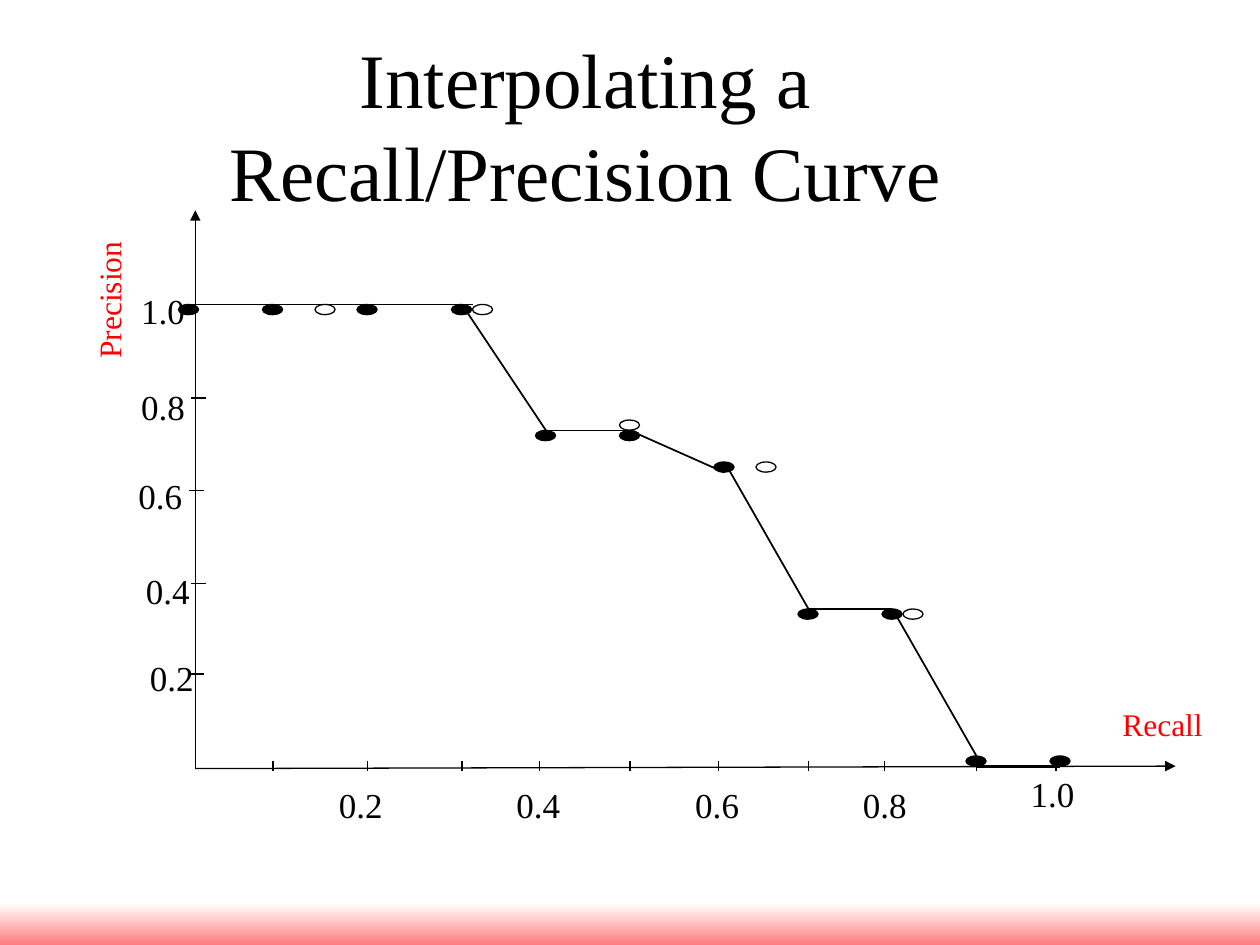
from lxml.etree import SubElement
from pptx import Presentation
from pptx.dml.color import RGBColor
from pptx.enum.shapes import MSO_CONNECTOR as CONN, MSO_SHAPE as SHAPE
from pptx.enum.text import MSO_ANCHOR as ANCHOR, MSO_AUTO_SIZE as AUTO, PP_ALIGN as ALIGN
from pptx.oxml.ns import qn
from pptx.util import Pt

COLORS = {"ink": "000000", "axis": "FF0000", "paper": "FFFFFF", "band": "FF7C80"}
FONT = "Times New Roman"
TITLE = "Interpolating a Recall/Precision Curve"

# Places are (left, top) in points; line ends are (x, y).
NUMBERS = [
    ("1.0", 73.5, 162), ("0.8", 73.5, 216.7), ("0.6", 72, 267.8),
    ("0.4", 76.3, 321.8), ("0.2", 78.5, 371.5),
    ("0.2", 186.5, 444.2), ("0.4", 288, 444.2), ("0.6", 390.2, 444.2),
    ("0.8", 486, 444.2), ("1.0", 581.8, 437.8),
]
AXES = [((111.6, 439.2), (111.6, 120.2)), ((111.6, 439.2), (671.8, 437.8))]
RECALL_TICKS = [156, 210, 264, 308.2, 360, 410.4, 462, 505.4, 558, 603.4]
PRECISION_TICKS = [(108.7, 174.2), (109.4, 227.5), (108, 280.1), (109.4, 333.4), (108, 385.2)]
TICK_TOP, TICK_H, TICK_W = 434.9, 5.8, 8.6
INTERPOLATED = [
    (102, 174), (150, 174), (204, 174), (258, 174), (306, 246), (354, 246),
    (408, 264), (456, 348), (504, 348), (552, 432), (600, 432),
]
MEASURED = [(180, 174), (270, 174), (354, 240), (432, 264), (516, 348)]
DOT_W, DOT_H = 11.5, 5.8
CURVE = [
    ((108, 174), (270, 174)), ((264, 174), (312, 246)),
    ((312, 246), (360, 246)), ((360, 246), (414, 270)),
    ((414, 264), (462, 348)), ((462, 348), (510, 348)),
    ((510, 348), (558, 432)), ((558, 438), (606, 438)),
]


def rgb(name):
    return RGBColor.from_string(COLORS[name])


def set_font(font, size, color="ink"):
    for key, value in {"name": FONT, "size": Pt(size), "bold": False}.items():
        setattr(font, key, value)
    font.color.rgb = rgb(color)


def add_label(s, text, x, y, w, h, size, color="ink"):
    sp = s.shapes.add_textbox(Pt(x), Pt(y), Pt(w), Pt(h))
    tf = sp.text_frame
    tf.word_wrap = False
    tf.auto_size = AUTO.SHAPE_TO_FIT_TEXT
    r = tf.paragraphs[0].add_run()
    r.text = text
    set_font(r.font, size, color)
    return sp


def add_line(s, start, end, width=0.75, arrow=False):
    line = s.shapes.add_connector(CONN.STRAIGHT, *map(Pt, start + end))
    line.line.color.rgb = rgb("ink")
    line.line.width = Pt(width)
    if arrow:
        SubElement(line.line._get_or_add_ln(), qn("a:tailEnd"), type="triangle")
    SubElement(line._element.spPr, qn("a:effectLst"))


def add_dot(s, x, y, filled):
    dot = s.shapes.add_shape(SHAPE.OVAL, Pt(x), Pt(y), Pt(DOT_W), Pt(DOT_H))
    dot.shadow.inherit = False
    if filled:
        dot.fill.solid()
        dot.fill.fore_color.rgb = rgb("ink")
    else:
        dot.fill.background()
    dot.line.color.rgb = rgb("ink")
    dot.line.width = Pt(0.75)


def add_band(s):
    band = s.shapes.add_shape(SHAPE.RECTANGLE, 0, Pt(516), Pt(720), Pt(24))
    band.shadow.inherit = False
    band.line.fill.background()
    band.fill.gradient()
    band.fill.gradient_angle = 270
    for stop, (color, position) in zip(band.fill.gradient_stops, [("paper", 0), ("band", 1)]):
        stop.color.rgb = rgb(color)
        stop.position = position


def set_title(s):
    title = s.shapes.title
    place = {"left": 81.4, "top": 14.4, "width": 506.2, "height": 69.1}
    for key, value in place.items():
        setattr(title, key, Pt(value))
    tf = title.text_frame
    frame = {"word_wrap": True, "auto_size": AUTO.NONE, "vertical_anchor": ANCHOR.TOP}
    for key, value in frame.items():
        setattr(tf, key, value)
    p = tf.paragraphs[0]
    p.alignment = ALIGN.CENTER
    p.line_spacing = Pt(53)
    r = p.add_run()
    r.text = TITLE
    set_font(r.font, 44)


def main():
    prs = Presentation()
    prs.slide_width, prs.slide_height = Pt(720), Pt(540)
    s = prs.slides.add_slide(prs.slide_layouts[5])
    add_band(s)
    set_title(s)

    for start, end in AXES:
        add_line(s, start, end, arrow=True)
    for x in RECALL_TICKS:
        add_line(s, (x, TICK_TOP), (x, TICK_TOP + TICK_H))
    for x, y in PRECISION_TICKS:
        add_line(s, (x, y), (x + TICK_W, y))

    for text, x, y in NUMBERS:
        add_label(s, text, x, y, 39.6, 31.7, 20)
    add_label(s, "Recall", 634.3, 399.6, 60.5, 28.8, 18, "axis")
    add_label(s, "Precision", 21.6, 157, 81.4, 28.8, 18, "axis").rotation = 270

    for dots, filled in [(MEASURED, False), (INTERPOLATED, True)]:
        for x, y in dots:
            add_dot(s, x, y, filled)
    for start, end in CURVE[:-1]:
        add_line(s, start, end, 1)
    add_line(s, *CURVE[-1], 2.25)

    prs.save("out.pptx")


if __name__ == "__main__":
    main()
